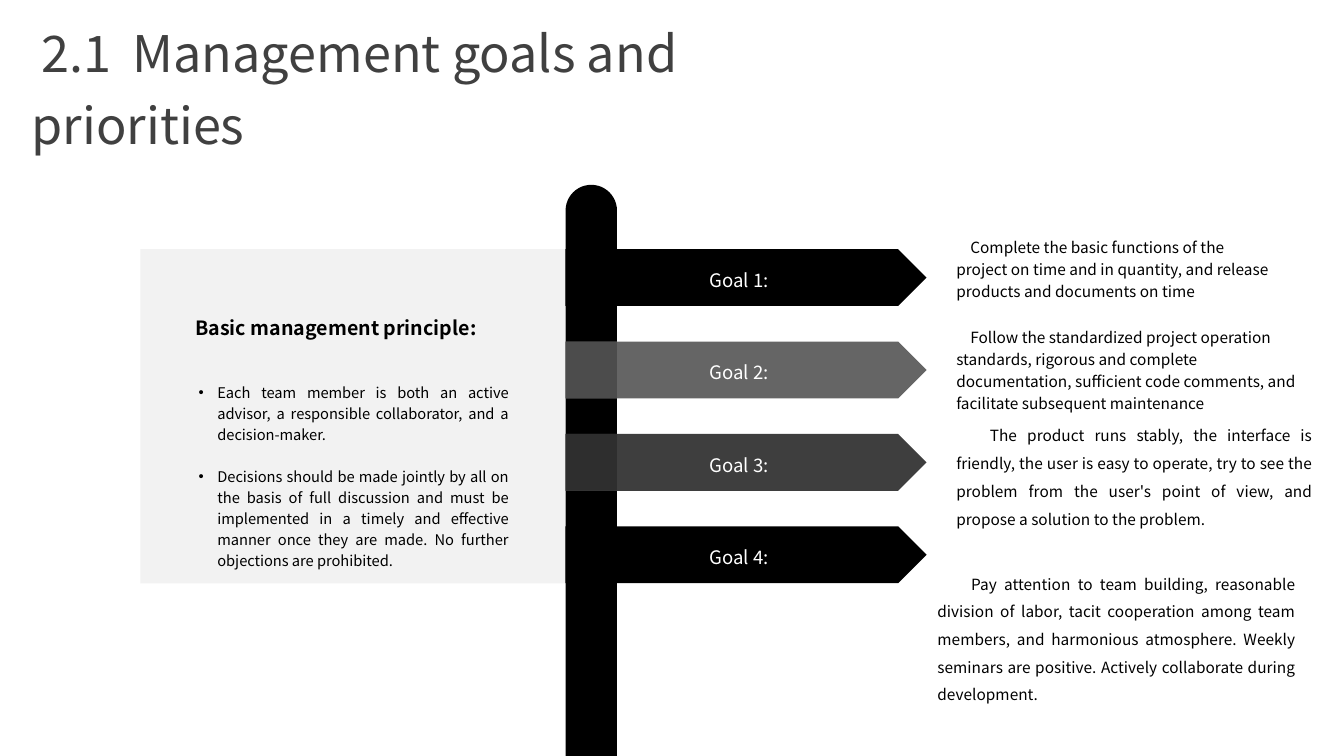
from dataclasses import dataclass

from lxml import etree
from pptx import Presentation
from pptx.dml.color import RGBColor
from pptx.enum.shapes import MSO_SHAPE
from pptx.enum.text import MSO_ANCHOR, MSO_AUTO_SIZE, PP_ALIGN
from pptx.oxml.ns import qn
from pptx.util import Pt

RECTANGLE = MSO_SHAPE.RECTANGLE
ARROW = MSO_SHAPE.PENTAGON
ROUNDED_TOP = MSO_SHAPE.ROUND_2_SAME_RECTANGLE
LEFT, CENTER, JUSTIFY = PP_ALIGN.LEFT, PP_ALIGN.CENTER, PP_ALIGN.JUSTIFY
TOP, MIDDLE = MSO_ANCHOR.TOP, MSO_ANCHOR.MIDDLE


@dataclass(frozen=True)
class Theme:
    font: str = "Noto Sans CJK SC"
    black: str = "000000"
    white: str = "FFFFFF"
    heading: str = "404040"
    panel: str = "F2F2F2"
    title_size: float = 36
    principle_size: float = 14
    label_size: float = 13.3
    goal_size: float = 11
    list_size: float = 10.5


THEME = Theme()

POLE_LEFT, POLE_WIDTH = 404, 36.7
SIGN_TOP, SIGN_STEP, SIGN_WIDTH, SIGN_HEIGHT = 178, 66, 257.8, 40.6

# Arrow colour and the colour where the arrow crosses the pole
SIGN_COLOURS = [
    ("000000", "000000"),
    ("656565", "4C4C4C"),
    ("3E3E3E", "2E2E2E"),
    ("000000", "000000"),
]

# Box (left, top, width, height), text, alignment, line spacing, first-line indent
GOALS = [
    ((676, 163.6, 243.4, 54),
     "Complete the basic functions of the project on time and in quantity, "
     "and release products and documents on time", LEFT, 1.2, 10),
    ((676, 228, 268.6, 70),
     "Follow the standardized project operation standards, rigorous and complete "
     "documentation, sufficient code comments, and facilitate subsequent maintenance",
     LEFT, 1.2, 10),
    ((676, 294.5, 268.6, 85),
     "The product runs stably, the interface is friendly, the user is easy to operate, "
     "try to see the problem from the user's point of view, and propose a solution "
     "to the problem.", JUSTIFY, 1.5, 24),
    ((662.5, 400.3, 270, 104.4),
     "Pay attention to team building, reasonable division of labor, tacit cooperation "
     "among team members, and harmonious atmosphere. Weekly seminars are positive. "
     "Actively collaborate during development.", JUSTIFY, 1.5, 24),
]

PRINCIPLES = [
    "Each team member is both an active advisor, a responsible collaborator, "
    "and a decision-maker.",
    "Decisions should be made jointly by all on the basis of full discussion and must be "
    "implemented in a timely and effective manner once they are made. "
    "No further objections are prohibited.",
]


def place(shape, box):
    shape.left, shape.top, shape.width, shape.height = (Pt(length) for length in box)


def write(shape, texts, *, size, colour=THEME.black, bold=False, align=LEFT,
          anchor=TOP, spacing=1.2, margin=0, indent=0, gap=0, bullet=None, tab=None):
    """Fill a shape with one paragraph per text; gap separates the paragraphs."""
    frame = shape.text_frame
    frame.word_wrap = True
    frame.auto_size = MSO_AUTO_SIZE.NONE
    frame.vertical_anchor = anchor
    for index, text in enumerate(texts):
        para = frame.add_paragraph() if index else frame.paragraphs[0]
        para.alignment = align
        para.line_spacing = spacing
        para.space_before = Pt(gap if index else 0)
        para.space_after = Pt(0)
        properties = para._p.get_or_add_pPr()
        properties.set("marL", str(Pt(margin)))
        properties.set("indent", str(Pt(indent)))
        if bullet:
            etree.SubElement(properties, qn("a:buFont")).set("typeface", "Arial")
            etree.SubElement(properties, qn("a:buChar")).set("char", bullet)
        else:
            etree.SubElement(properties, qn("a:buNone"))
        if tab:
            stops = etree.SubElement(properties, qn("a:tabLst"))
            stop = etree.SubElement(stops, qn("a:tab"))
            stop.set("pos", str(Pt(tab)))
            stop.set("algn", "l")
        span = para.add_run()
        span.text = text
        span.font.name = THEME.font
        span.font.size = Pt(size)
        span.font.bold = bold
        span.font.color.rgb = RGBColor.from_string(colour)


def add_block(page, kind, box, colour):
    block = page.shapes.add_shape(kind, *(Pt(length) for length in box))
    block.shadow.inherit = False
    block.fill.solid()
    block.fill.fore_color.rgb = RGBColor.from_string(colour)
    block.line.fill.background()
    return block


def add_text(page, box, text, **style):
    text_box = page.shapes.add_textbox(*(Pt(length) for length in box))
    write(text_box, [text], **style)


def add_sign(page, number, colour, crossing):
    top = SIGN_TOP + (number - 1) * SIGN_STEP
    arrow = add_block(page, ARROW, (POLE_LEFT, top, SIGN_WIDTH, SIGN_HEIGHT), colour)
    write(arrow, [f"Goal {number}:"], size=THEME.label_size, colour=THEME.white,
          align=CENTER, anchor=MIDDLE)
    add_block(page, RECTANGLE, (POLE_LEFT, top, POLE_WIDTH, SIGN_HEIGHT), crossing)


def add_principles(page, body):
    add_block(page, RECTANGLE, (100.2, SIGN_TOP, 303.4, 238.8), THEME.panel)
    add_text(page, (132.4, 219, 270.7, 26), "Basic management principle:",
             size=THEME.principle_size, bold=True)
    page.shapes._spTree.append(body._element)
    place(body, (134.6, 267.8, 236.2, 143.3))
    write(body, PRINCIPLES, size=THEME.list_size, align=JUSTIFY,
          margin=13.5, indent=-13.5, gap=15, bullet="•")


def main():
    deck = Presentation()
    deck.slide_width, deck.slide_height = Pt(960), Pt(540)
    page = deck.slides.add_slide(deck.slide_layouts[1])
    title, body = page.shapes.title, page.placeholders[1]

    pole = add_block(page, ROUNDED_TOP, (POLE_LEFT, 132, POLE_WIDTH, 408), THEME.black)
    pole.adjustments[0] = 0.5
    for number, (colour, crossing) in enumerate(SIGN_COLOURS, 1):
        add_sign(page, number, colour, crossing)
    for box, text, align, spacing, indent in GOALS:
        add_text(page, box, text, size=THEME.goal_size, align=align,
                 spacing=spacing, indent=indent)
    add_principles(page, body)

    place(title, (15.4, 31, 630, 55.4))
    write(title, ["2.1\tManagement goals and priorities"], size=THEME.title_size,
          colour=THEME.heading, anchor=MIDDLE, indent=7, tab=72)
    deck.save("out.pptx")


if __name__ == "__main__":
    main()
